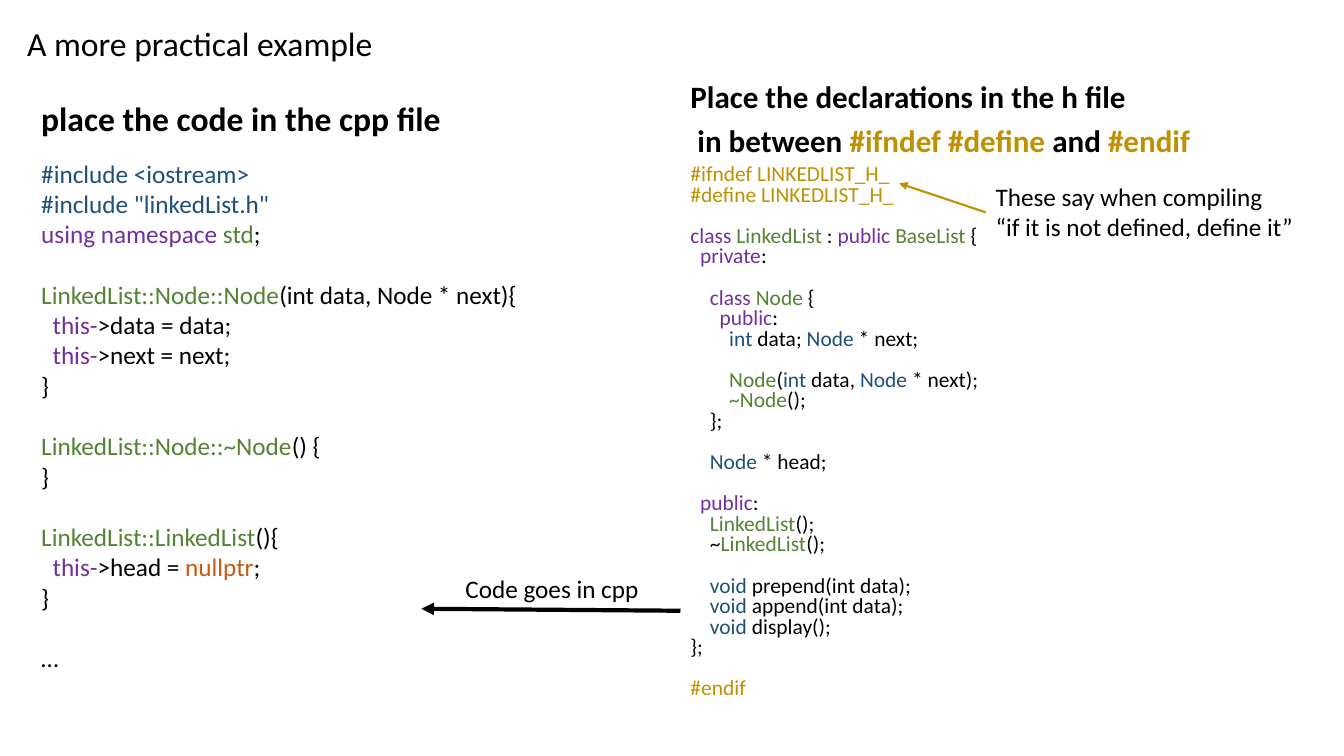
from pptx import Presentation
from pptx.util import Cm, Pt
from pptx.dml.color import RGBColor as RGB
from pptx.enum.shapes import MSO_CONNECTOR as Link
from pptx.enum.text import MSO_ANCHOR as Anchor, MSO_AUTO_SIZE as Fit, PP_ALIGN as Align
from pptx.oxml.ns import qn
from lxml.etree import SubElement as Sub

FONT = "Calibri"
INK = {"black": "000000", "blue": "1F4E79", "plum": "7030A0",
       "green": "548235", "gold": "BF9000", "rust": "C55A11"}
K, B, P, G, Y, R = INK  # one letter for each colour name

# Content: a line is a list of (colour, text); None is an empty line
TITLE = "A more practical example"
CPP_HEAD = [[(K, "place the code in the cpp file")]]
H_HEAD = [
    [(K, "Place the declarations in the h file")],
    [(K, " in between "), (Y, "#ifndef #define "), (K, "and "), (Y, "#endif")],
]
CPP_CODE = [
    [(B, "#include <iostream>")],
    [(B, '#include "linkedList.h"')],
    [(P, "using namespace "), (G, "std"), (K, ";")],
    None,
    [(G, "LinkedList::Node::Node"), (K, "(int data, Node * next){")],
    [(P, "  this-"), (K, ">data = data;")],
    [(P, "  this-"), (K, ">next = next;")],
    [(K, "}")],
    None,
    [(G, "LinkedList::Node::~Node"), (K, "() {")],
    [(K, "}")],
    None,
    [(G, "LinkedList::LinkedList"), (K, "(){")],
    [(P, "  this-"), (K, ">head = "), (R, "nullptr"), (K, ";")],
    [(K, "}")],
    None,
    [(K, "…")],
]
H_CODE = [
    [(Y, "#ifndef LINKEDLIST_H_")],
    [(Y, "#define LINKEDLIST_H_")],
    None,
    [(P, "class "), (G, "LinkedList"), (K, " : "), (P, "public "),
     (G, "BaseList "), (K, "{")],
    [(P, "  private"), (K, ":")],
    None,
    [(P, "    class "), (G, "Node "), (K, "{")],
    [(P, "      public"), (K, ":")],
    [(B, "        int"), (K, " data; "), (B, "Node"), (K, " * next;")],
    None,
    [(G, "        Node"), (K, "("), (B, "int"), (K, " data, "),
     (B, "Node"), (K, " * next);")],
    [(G, "        ~Node"), (K, "();")],
    [(K, "    };")],
    None,
    [(B, "    Node"), (K, " * head;")],
    None,
    [(P, "  public"), (K, ":")],
    [(G, "    LinkedList"), (K, "();")],
    [(K, "    ~"), (G, "LinkedList"), (K, "();")],
    None,
    [(B, "    void"), (K, " prepend(int data);")],
    [(B, "    void"), (K, " append(int data);")],
    [(B, "    void"), (K, " display();")],
    [(K, "};")],
    None,
    [(Y, "#endif")],
]
# Left, top, width, height in cm; lines, size, bold, line spacing, gap in points
BLOCKS = [
    ((0.79, 2.06, 12.09, 1.57), CPP_HEAD, 24, True, 0.9, 0),
    ((0.79, 3.86, 15.42, 14.15), CPP_CODE, 18, False, 1.0, 21.7),
    ((17.15, 1.9, 14.4, 2.21), H_HEAD, 22.2, True, 0.8, 10),
    ((17.15, 4.04, 16.33, 14.99), H_CODE, 15.3, False, 0.8, 14.7),
]
NOTES = [
    ((24.84, 4.45, 8.28, 1.8),
     "These say when compiling\v“if it is not defined, define it”"),
    ((11.48, 14.33, 4.93, 1.02), "Code goes in cpp"),
]
# Start, end in cm; colour, width in points
ARROWS = [
    ((24.84, 5.35), (22.66, 4.62), Y, 1.5),
    ((17.15, 15.39), (10.62, 15.34), K, 3),
]


def style(run, ink, size, bold=False):
    font = run.font
    font.name, font.size, font.bold = FONT, Pt(size), bold
    font.color.rgb = RGB.from_string(INK[ink])


def add_box(slide, place, wrap):
    box = slide.shapes.add_textbox(*map(Cm, place))
    box.text_frame.word_wrap = wrap
    return box


def add_block(slide, place, lines, size, bold, lead, gap):
    frame = add_box(slide, place, True).text_frame
    frame.vertical_anchor = Anchor.BOTTOM if bold else Anchor.TOP
    para, blank = None, False
    for line in lines:
        if line is None:
            blank = True
            continue
        first = para is None
        para = frame.paragraphs[0] if first else frame.add_paragraph()
        para.line_spacing = lead
        # Headings are spaced at each line, code only at empty lines
        para.space_before = Pt(gap if not first and (bold or blank) else 0)
        blank = False
        for ink, text in line:
            run = para.add_run()
            run.text = text
            style(run, ink, size, bold)


def add_note(slide, place, text):
    box = add_box(slide, place, False)
    box.text_frame.text = text
    for run in box.text_frame.paragraphs[0].runs:
        style(run, K, 18)
    return box


def add_arrow(slide, start, end, ink, width):
    arrow = slide.shapes.add_connector(Link.STRAIGHT, *map(Cm, start + end))
    arrow.line.color.rgb = RGB.from_string(INK[ink])
    arrow.line.width = Pt(width)
    Sub(arrow.line._get_or_add_ln(), qn("a:tailEnd"), type="triangle")
    Sub(arrow._element.spPr, qn("a:effectLst"))
    return arrow


def main():
    deck = Presentation()
    deck.slide_width, deck.slide_height = Cm(33.87), Cm(19.05)
    slide = deck.slides.add_slide(deck.slide_layouts[5])

    # Title
    title = slide.shapes.title
    title.left, title.top, title.width, title.height = map(
        Cm, (0.43, 0.48, 29.72, 1.32))
    frame = title.text_frame
    frame.text = TITLE
    frame.auto_size, frame.vertical_anchor = Fit.NONE, Anchor.MIDDLE
    para = frame.paragraphs[0]
    para.alignment, para.line_spacing = Align.LEFT, 0.9
    style(para.runs[0], K, 24)

    # Headings and code
    for block in BLOCKS:
        add_block(slide, *block)

    # Notes and arrows
    notes = [add_note(slide, *note) for note in NOTES]
    arrows = [add_arrow(slide, *arrow) for arrow in ARROWS]
    arrows[0].begin_connect(notes[0], 1)

    deck.save("out.pptx")


if __name__ == "__main__":
    main()
